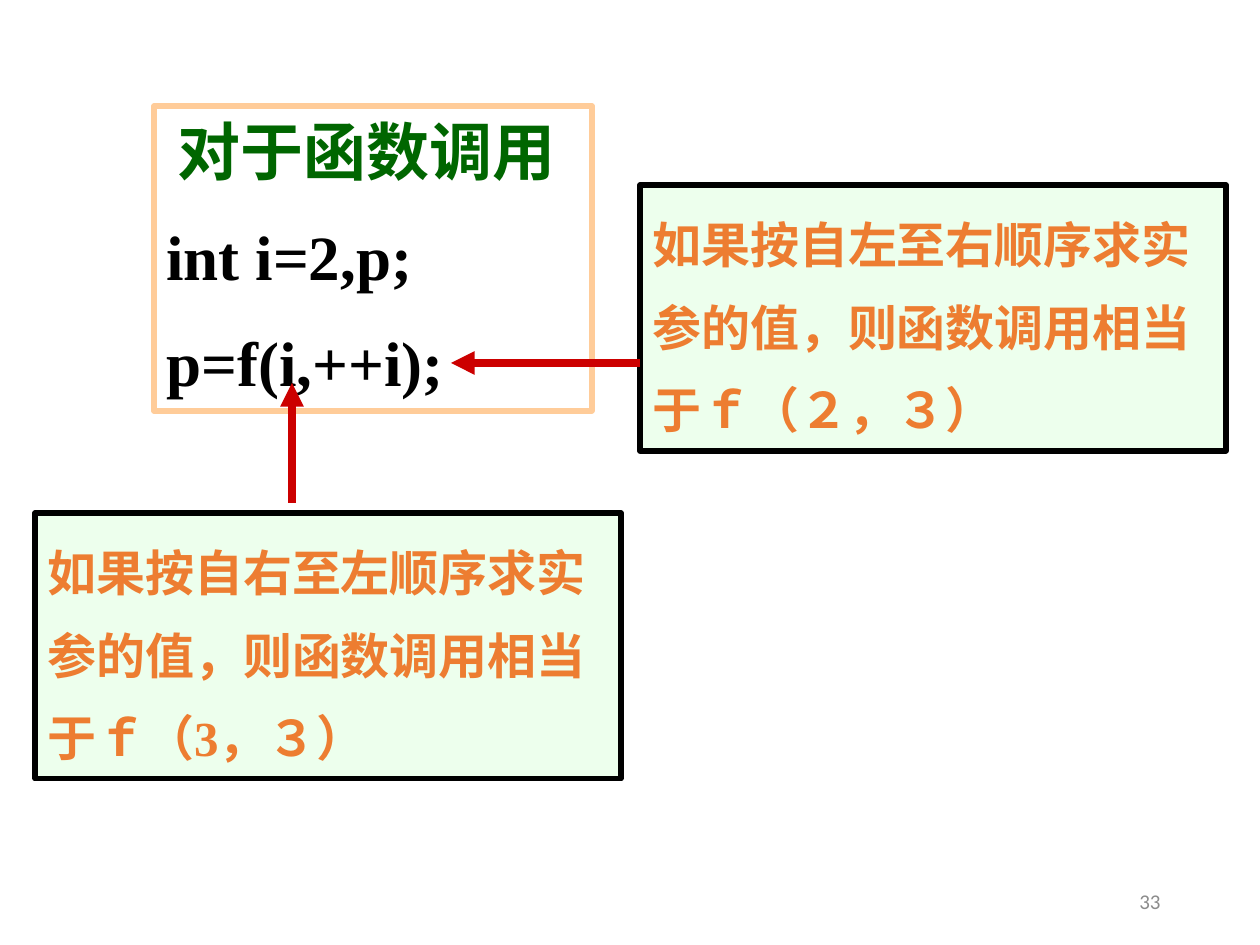
"""Build the slide on argument evaluation order in a function call."""
from dataclasses import dataclass

import pptx
import pptx.dml.color
import pptx.enum.shapes
import pptx.enum.text
import pptx.oxml
import pptx.oxml.ns
import pptx.util

RGBColor = pptx.dml.color.RGBColor
WHITE = RGBColor(0xFF, 0xFF, 0xFF)
BLACK = RGBColor(0x00, 0x00, 0x00)
MINT = RGBColor(0xED, 0xFF, 0xED)
ORANGE = RGBColor(0xED, 0x7D, 0x31)
PEACH = RGBColor(0xFF, 0xCC, 0x99)
GREEN = RGBColor(0x00, 0x66, 0x00)
RED = RGBColor(0xCC, 0x00, 0x00)
GRAY = RGBColor(0x8C, 0x8C, 0x8C)
PIXEL = pptx.util.Inches(1) // 126
SERIF = "Times New Roman"
ALIGN = pptx.enum.text.PP_ALIGN
ANCHOR = pptx.enum.text.MSO_ANCHOR


@dataclass(frozen=True)
class Span:
    text: str
    size: int
    color: RGBColor
    font: str = SERIF
    bold: bool = True


@dataclass(frozen=True)
class Line:
    spans: tuple[Span, ...]
    spacing: float = 1.0
    align: ALIGN = ALIGN.LEFT


@dataclass(frozen=True)
class Panel:
    left: int
    top: int
    width: int
    height: int
    fill: RGBColor
    border: RGBColor
    lines: tuple[Line, ...]


@dataclass(frozen=True)
class Arrow:
    start: tuple[int, int]
    end: tuple[int, int]


def callout(left: int, top: int, text: str) -> Panel:
    line = Line((Span(text, 28, ORANGE),), 1.4)
    return Panel(left, top, 586, 266, MINT, BLACK, (line,))


PANELS = (
    callout(640, 185, "如果按自左至右顺序求实参的值，则函数调用相当于ｆ（２，３）"),
    callout(35, 513, "如果按自右至左顺序求实参的值，则函数调用相当于ｆ（3，３）"),
    Panel(154, 106, 438, 305, WHITE, PEACH, (
        Line((Span(" ", 28, GREEN), Span("对于函数调用", 36, GREEN))),
        Line((Span("int i=2,p;", 36, BLACK),), 1.4),
        Line((Span("p=f(i,++i);", 36, BLACK),), 1.4),
    )),
)
ARROWS = (Arrow((640, 363), (451, 363)), Arrow((292, 503), (292, 383)))
PAGE_NUMBER = Line((Span("33", 12, GRAY, "Calibri", False),), align=ALIGN.RIGHT)


def assign(target: object, values: dict[str, object]) -> None:
    for name, value in values.items():
        setattr(target, name, value)


def write(frame: pptx.text.text.TextFrame, lines: tuple[Line, ...], anchor: ANCHOR) -> None:
    assign(frame, {"word_wrap": True, "vertical_anchor": anchor})
    for index, line in enumerate(lines):
        para = frame.add_paragraph() if index else frame.paragraphs[0]
        assign(para, {"line_spacing": line.spacing, "alignment": line.align})
        for span in line.spans:
            run = para.add_run()
            run.text = span.text
            assign(run.font, {"name": span.font, "size": pptx.util.Pt(span.size), "bold": span.bold})
            run.font.color.rgb = span.color


def draw_panel(page: pptx.slide.Slide, panel: Panel) -> None:
    bounds = (panel.left, panel.top, panel.width, panel.height)
    box = page.shapes.add_shape(
        pptx.enum.shapes.MSO_SHAPE.RECTANGLE, *(value * PIXEL for value in bounds))
    box.shadow.inherit = False
    box.fill.solid()
    box.fill.fore_color.rgb = panel.fill
    box.line.color.rgb = panel.border
    box.line.width = pptx.util.Pt(3)
    write(box.text_frame, panel.lines, ANCHOR.TOP)


def draw_arrow(page: pptx.slide.Slide, arrow: Arrow) -> None:
    connector = page.shapes.add_connector(
        pptx.enum.shapes.MSO_CONNECTOR.STRAIGHT,
        *(value * PIXEL for value in arrow.start + arrow.end))
    connector.line.color.rgb = RED
    connector.line.width = pptx.util.Pt(4.5)
    namespace = pptx.oxml.ns.nsdecls("a")
    connector.line._get_or_add_ln().append(
        pptx.oxml.parse_xml(f'<a:tailEnd {namespace} type="triangle"/>'))
    connector._element.spPr.append(pptx.oxml.parse_xml(f"<a:effectLst {namespace}/>"))


def main() -> None:
    deck = pptx.Presentation()
    assign(deck, {"slide_width": 1260 * PIXEL, "slide_height": 945 * PIXEL})
    page = deck.slides.add_slide(deck.slide_layouts.get_by_name("Blank"))
    for panel in PANELS:
        draw_panel(page, panel)
    for arrow in ARROWS:
        draw_arrow(page, arrow)
    number = page.shapes.add_textbox(*(value * PIXEL for value in (890, 876, 283, 50)))
    write(number.text_frame, (PAGE_NUMBER,), ANCHOR.MIDDLE)
    deck.save("out.pptx")


main()
